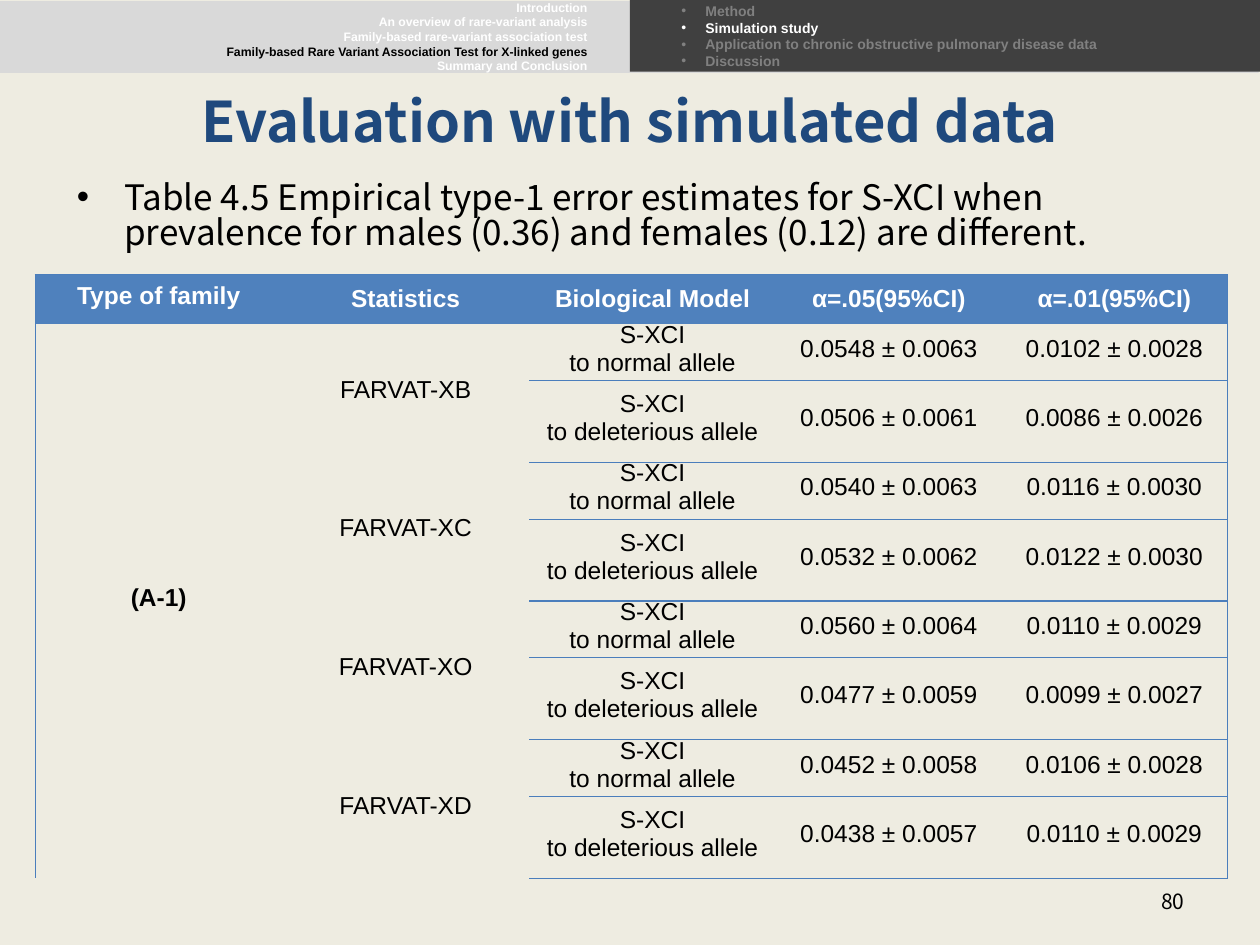
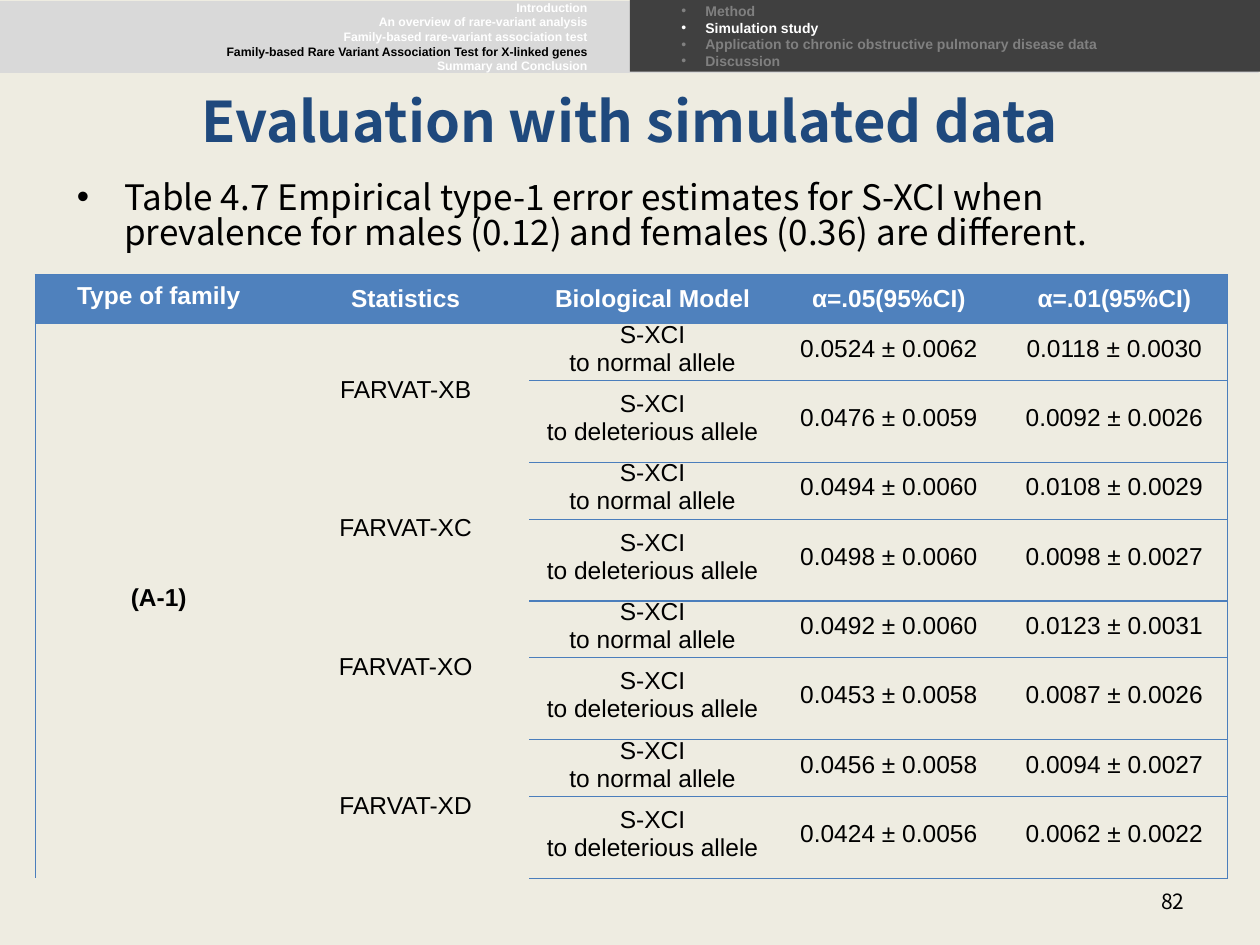
from lxml.etree import SubElement
from pptx import Presentation
from pptx.dml.color import RGBColor
from pptx.enum.shapes import MSO_SHAPE
from pptx.enum.text import MSO_ANCHOR, MSO_AUTO_SIZE, PP_ALIGN
from pptx.oxml.ns import qn
from pptx.util import Inches, Pt

# Shared look
CREAM = RGBColor(0xEE, 0xEC, 0xE1)
LIGHT = RGBColor(0xD9, 0xD9, 0xD9)
DARK = RGBColor(0x40, 0x40, 0x40)
GREY = RGBColor(0x80, 0x80, 0x80)
WHITE = RGBColor(0xFF, 0xFF, 0xFF)
BLACK = RGBColor(0x00, 0x00, 0x00)
NAVY = RGBColor(0x1F, 0x49, 0x7D)
BLUE = RGBColor(0x4F, 0x81, 0xBD)
RULE = RGBColor(0x4B, 0x7E, 0xBC)
SANS = "Arial"
NOTO = "Noto Sans CJK KR"
NO_GRID = "{2D5ABB26-0587-4C30-8999-92F81FD0307C}"

# Shared wording
TITLE = "Evaluation with simulated data"
PARTS = ["Introduction", "An overview of rare-variant analysis",
         "Family-based rare-variant association test",
         "Family-based Rare Variant Association Test for X-linked genes",
         "Summary and Conclusion"]
TOPICS = ["Method", "Simulation study",
          "Application to chronic obstructive pulmonary disease data",
          "Discussion"]
HEADS = ["Type of family", "Statistics", "Biological Model",
         "α=.05(95%CI)", "α=.01(95%CI)"]
STATS = ["FARVAT-XB", "FARVAT-XC", "FARVAT-XO", "FARVAT-XD"]
MODELS = ["S-XCI\nto normal allele", "S-XCI\nto deleterious allele"]
COLS = [1.96, 1.96, 1.96, 1.79, 1.79]
ROWS = [0.39] + [0.45, 0.65] * len(STATS)

# Page number, caption, and one pair of estimates for each table row
PAGES = [
    (80, "Table 4.5 Empirical type-1 error estimates for S-XCI when "
         "prevalence for males (0.36) and females (0.12) are different.",
     [("0.0548 ± 0.0063", "0.0102 ± 0.0028"),
      ("0.0506 ± 0.0061", "0.0086 ± 0.0026"),
      ("0.0540 ± 0.0063", "0.0116 ± 0.0030"),
      ("0.0532 ± 0.0062", "0.0122 ± 0.0030"),
      ("0.0560 ± 0.0064", "0.0110 ± 0.0029"),
      ("0.0477 ± 0.0059", "0.0099 ± 0.0027"),
      ("0.0452 ± 0.0058", "0.0106 ± 0.0028"),
      ("0.0438 ± 0.0057", "0.0110 ± 0.0029")]),
    (82, "Table 4.7 Empirical type-1 error estimates for S-XCI when "
         "prevalence for males (0.12) and females (0.36) are different.",
     [("0.0524 ± 0.0062", "0.0118 ± 0.0030"),
      ("0.0476 ± 0.0059", "0.0092 ± 0.0026"),
      ("0.0494 ± 0.0060", "0.0108 ± 0.0029"),
      ("0.0498 ± 0.0060", "0.0098 ± 0.0027"),
      ("0.0492 ± 0.0060", "0.0123 ± 0.0031"),
      ("0.0453 ± 0.0058", "0.0087 ± 0.0026"),
      ("0.0456 ± 0.0058", "0.0094 ± 0.0027"),
      ("0.0424 ± 0.0056", "0.0062 ± 0.0022")]),
]


def style(para, size, color, name=SANS, bold=False):
    for run in para.runs:
        font = run.font
        font.size, font.name, font.bold = Pt(size), name, bold
        font.color.rgb = color


def place(shape, box):
    shape.left, shape.top, shape.width, shape.height = map(Inches, box)


def add_band(slide, box, color):
    band = slide.shapes.add_shape(MSO_SHAPE.RECTANGLE, *map(Inches, box))
    band.shadow.inherit = False
    band.fill.solid()
    band.fill.fore_color.rgb = color
    band.line.fill.background()


def add_list(slide, box, lines, size, plain, active, accent, bullet=False):
    """Outline of the talk with the active line picked out."""
    frame = slide.shapes.add_textbox(*map(Inches, box)).text_frame
    frame.word_wrap = not bullet
    frame.auto_size = MSO_AUTO_SIZE.SHAPE_TO_FIT_TEXT
    frame.text = "\n".join(lines)
    for line, para in zip(lines, frame.paragraphs):
        if bullet:
            props = para._p.get_or_add_pPr()
            props.set("marL", str(Inches(0.19)))
            props.set("indent", str(-Inches(0.19)))
            SubElement(props, qn("a:buFont"), typeface=SANS)
            SubElement(props, qn("a:buChar"), char="•")
        else:
            para.alignment = PP_ALIGN.RIGHT
        style(para, size, accent if line == active else plain, bold=True)


def add_header(slide):
    add_band(slide, (0, 0.01, 9.99, 0.57), LIGHT)
    add_band(slide, (5, 0, 5, 0.57), DARK)
    add_list(slide, (0.51, -0.05, 4.25, 0.69), PARTS, 7, WHITE,
             PARTS[3], BLACK)
    add_list(slide, (5.31, -0.03, 3.53, 0.64), TOPICS, 8, GREY,
             TOPICS[1], WHITE, bullet=True)


def fill_text(slide, caption):
    title, body = slide.placeholders
    place(title, (0.5, 0.68, 9, 0.55))
    title.text_frame.text = TITLE
    title.text_frame.vertical_anchor = MSO_ANCHOR.MIDDLE
    para = title.text_frame.paragraphs[0]
    para.alignment = PP_ALIGN.CENTER
    style(para, 32, NAVY, NOTO, True)

    place(body, (0.51, 1.4, 9, 5.2))
    body.text_frame.text = caption
    body.text_frame.auto_size = MSO_AUTO_SIZE.NONE
    para = body.text_frame.paragraphs[0]
    para.space_before = Pt(0)
    para.line_spacing = 0.83
    style(para, 20, BLACK, NOTO)


def set_rules(cell, row, col):
    """Frame the table and rule off each statistic and model."""
    last = len(ROWS) - 1
    group = row > 0 and (col > 1 or col == 1 and row % 2 == 0)
    edges = {"a:lnL": col == 0, "a:lnR": col == len(COLS) - 1,
             "a:lnT": row == 0, "a:lnB": row == last or group}
    props = cell._tc.get_or_add_tcPr()
    for tag, shown in edges.items():
        if shown:
            line = SubElement(props, qn(tag), w=str(Pt(0.75)))
            fill = SubElement(line, qn("a:solidFill"))
            SubElement(fill, qn("a:srgbClr"), val=str(RULE))


def set_cell(cell, text, row, col):
    cell.text = text
    cell.vertical_anchor = MSO_ANCHOR.MIDDLE
    cell.margin_left = cell.margin_right = Inches(0.07)
    cell.margin_top = cell.margin_bottom = 0
    for para in cell.text_frame.paragraphs:
        para.alignment = PP_ALIGN.CENTER
        para.space_after = Pt(4)
        if row or not col:
            para.line_spacing = Pt(12)
        style(para, 14, BLACK if row else WHITE, bold=not row or not col)


def add_grid(slide, box, pairs):
    frame = slide.shapes.add_table(len(ROWS), len(COLS), *map(Inches, box))
    grid = frame.table
    for mark in frame._element.iter(qn("a:tableStyleId")):
        mark.text = NO_GRID
    for col, width in zip(grid.columns, COLS):
        col.width = Inches(width)
    for row, height in zip(grid.rows, ROWS):
        row.height = Inches(height)

    texts = [HEADS]
    for i, pair in enumerate(pairs):
        family = "" if i else "(A-1)"
        stat = "" if i % 2 else STATS[i // 2]
        texts.append([family, stat, MODELS[i % 2], *pair])
    for r, line in enumerate(texts):
        for c, text in enumerate(line):
            cell = grid.cell(r, c)
            set_rules(cell, r, c)
            set_cell(cell, text, r, c)
            if r:
                cell.fill.background()
            else:
                cell.fill.solid()
                cell.fill.fore_color.rgb = BLUE

    # Family spans all rows, each statistic spans two
    grid.cell(1, 0).merge(grid.cell(len(ROWS) - 1, 0))
    for r in range(1, len(ROWS), 2):
        grid.cell(r, 1).merge(grid.cell(r + 1, 1))


def add_number(slide, box, number):
    frame = slide.shapes.add_textbox(*map(Inches, box)).text_frame
    frame.word_wrap = True
    frame.vertical_anchor = MSO_ANCHOR.MIDDLE
    frame.text = str(number)
    para = frame.paragraphs[0]
    para.alignment = PP_ALIGN.RIGHT
    style(para, 12, BLACK, NOTO)


def main():
    deck = Presentation()
    deck.slide_width, deck.slide_height = Inches(10), Inches(7.5)
    back = deck.slide_master.background.fill
    back.solid()
    back.fore_color.rgb = CREAM
    for number, caption, pairs in PAGES:
        slide = deck.slides.add_slide(deck.slide_layouts[1])
        fill_text(slide, caption)
        add_header(slide)
        add_grid(slide, (0.28, 2.18, 9.45, 4.76), pairs)
        add_number(slide, (7.17, 6.95, 2.33, 0.4), number)
    deck.save("out.pptx")


if __name__ == "__main__":
    main()
